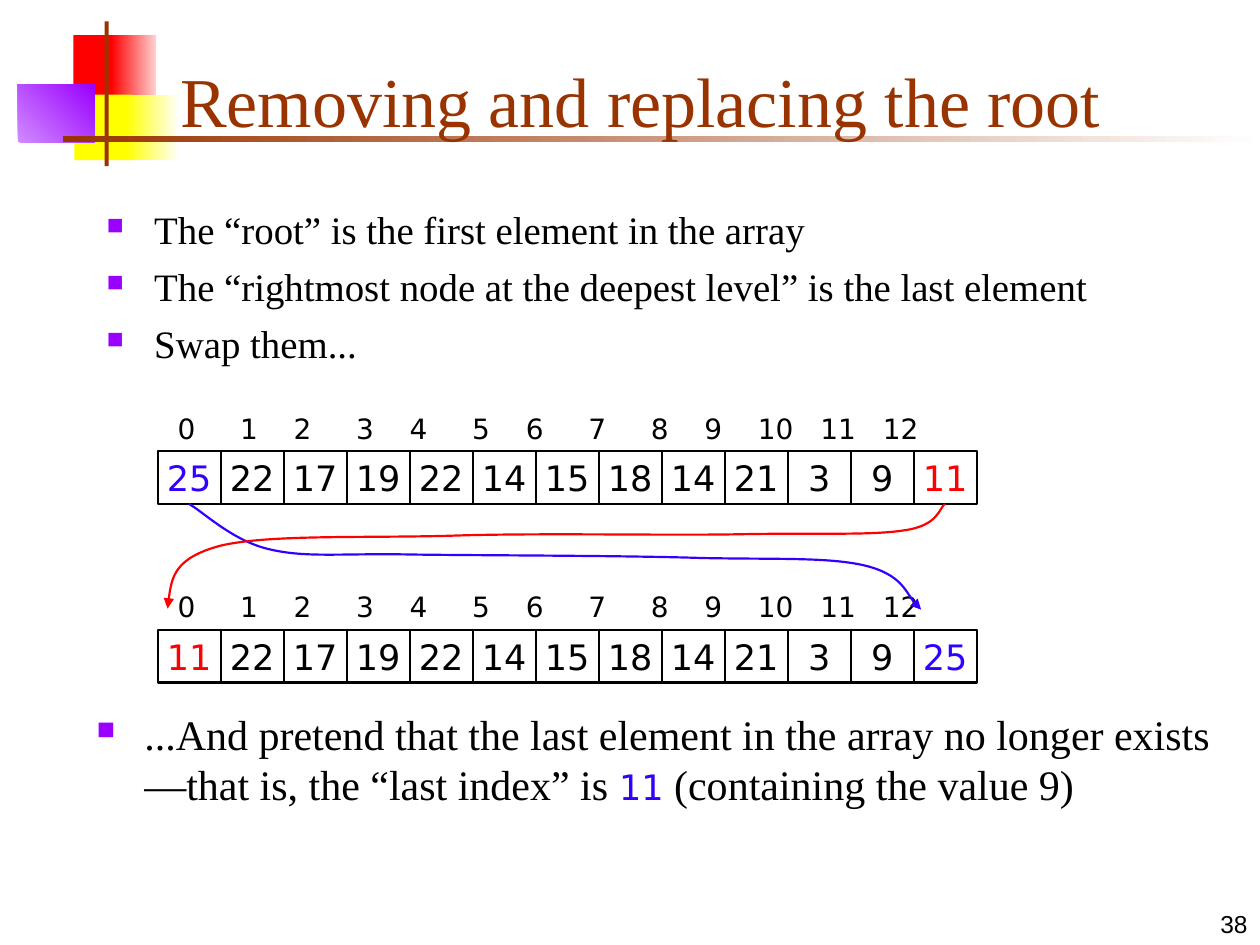
from dataclasses import dataclass
from itertools import accumulate

from lxml.etree import SubElement
from pptx import Presentation
from pptx.dml.color import RGBColor
from pptx.enum.shapes import MSO_SHAPE as Preset
from pptx.enum.text import MSO_ANCHOR as Anchor, PP_ALIGN as Align
from pptx.oxml.ns import qn
from pptx.util import Cm, Pt


@dataclass(frozen=True)
class Theme:
    ink: str = "000000"
    brown: str = "993300"
    violet: str = "9900FF"
    lilac: str = "D18BFF"
    red: str = "FF0000"
    pink: str = "FFD1D1"
    yellow: str = "FFFF00"
    cream: str = "FFFFF0"
    white: str = "FFFFFF"
    blue: str = "3300FF"
    serif: str = "Times New Roman"
    sans: str = "DejaVu Sans"
    plain: str = "Arial"
    title: float = 40
    conclusion: float = 24
    points: float = 22.2
    value: float = 20
    index: float = 16
    number: float = 14
    line: float = 1.25


THEME = Theme()
CELL_WIDTH, CELL_HEIGHT = 1.27, 1.06
ARRAY_LEFT = 3.18
FIRST_ARRAY_TOP, SECOND_ARRAY_TOP = 9.1, 12.7
MIDDLE = [22, 17, 19, 22, 14, 15, 18, 14, 21, 3, 9]
# Distance between the starts of neighbouring indices, in half digit widths
INDEX_STEPS = [2, 7, 6, 7, 6, 7, 6, 7, 7, 6, 6, 7, 7]
HALF_DIGIT = 0.18


def style(font, name, size, color=THEME.ink):
    font.name, font.size = name, Pt(size)
    font.color.rgb = RGBColor.from_string(color)


def add_text_box(shapes, left, top, width, height, anchor=Anchor.TOP):
    frame = shapes.add_textbox(Cm(left), Cm(top), Cm(width), Cm(height)).text_frame
    frame.word_wrap = True
    frame.vertical_anchor = anchor
    return frame


def add_bullet(paragraph):
    properties = paragraph._p.get_or_add_pPr()
    properties.set("marL", str(Cm(0.96)))
    properties.set("indent", str(-Cm(0.96)))
    color = SubElement(properties, qn("a:buClr"))
    SubElement(color, qn("a:srgbClr"), val=THEME.violet)
    SubElement(properties, qn("a:buSzPct"), val="60000")
    SubElement(properties, qn("a:buChar"), char="■")


def add_block(slide, left, top, width, height, start, end=None, angle=0):
    """Place a borderless rectangle, plain or fading from start to end."""
    block = slide.shapes.add_shape(Preset.RECTANGLE, Cm(left), Cm(top), Cm(width), Cm(height))
    block.shadow.inherit = False
    block.line.fill.background()
    if end is None:
        block.fill.solid()
        block.fill.fore_color.rgb = RGBColor.from_string(start)
        return
    block.fill.gradient()
    block.fill.gradient_angle = angle
    for stop, color in zip(block.fill.gradient_stops, (start, end)):
        stop.color.rgb = RGBColor.from_string(color)


def add_ornament(slide, left, top):
    add_block(slide, left + 1.12, top + 0.28, 0.89, 1.32, THEME.red)
    add_block(slide, left + 1.88, top + 0.28, 0.91, 1.32, THEME.red, THEME.pink)
    add_block(slide, left + 1.14, top + 1.48, 1.17, 1.32, THEME.yellow)
    add_block(slide, left + 2.18, top + 1.48, 1.02, 1.32, THEME.yellow, THEME.cream)
    add_block(slide, left, top + 1.27, 1.55, 1.17, THEME.lilac, THEME.violet, 45)
    add_block(slide, left + 1.75, top, 0.08, 2.92, THEME.brown)
    add_block(slide, left + 0.91, top + 2.31, 24.13, 0.13, THEME.brown, THEME.white)


def add_title(slide, left, top, width, height):
    title = add_text_box(slide.shapes, left, top, width, height, Anchor.BOTTOM).paragraphs[0]
    title.text = "Removing and replacing the root"
    style(title.font, THEME.serif, THEME.title, THEME.brown)


def add_page_number(slide, left, top, width, height):
    number = add_text_box(slide.shapes, left, top, width, height, Anchor.BOTTOM).paragraphs[0]
    number.text = "38"
    number.alignment = Align.RIGHT
    style(number.font, THEME.plain, THEME.number)


def add_points(slide, left, top, width, height):
    frame = add_text_box(slide.shapes, left, top, width, height)
    points = (
        "The “root” is the first element in the array",
        "The “rightmost node at the deepest level” is the last element",
        "Swap them...",
    )
    for order, point in enumerate(points):
        paragraph = frame.add_paragraph() if order else frame.paragraphs[0]
        paragraph.text = point
        add_bullet(paragraph)
        if order:
            paragraph.space_before = Pt(6)
        style(paragraph.font, THEME.serif, THEME.points)


def add_conclusion(slide, left, top, width, height):
    paragraph = add_text_box(slide.shapes, left, top, width, height).paragraphs[0]
    add_bullet(paragraph)
    serif = (THEME.serif, THEME.conclusion)
    for words, look in (
        ("...And pretend that the last element in the array no longer exists"
         "—that is, the “last index” is ", serif),
        ("11", (THEME.sans, THEME.value, THEME.blue)),
        (" (containing the value 9)", serif),
    ):
        run = paragraph.add_run()
        run.text = words
        style(run.font, *look)


def add_indices(shapes, left, top, width, height):
    indices = add_text_box(shapes, left, top, width, height).paragraphs[0]
    indices.text = "".join(f"\t{index}" for index in range(len(INDEX_STEPS)))
    tabs = SubElement(indices._p.get_or_add_pPr(), qn("a:tabLst"))
    for position in accumulate(INDEX_STEPS):
        SubElement(tabs, qn("a:tab"), pos=str(Cm(position * HALF_DIGIT)), algn="l")
    style(indices.font, THEME.sans, THEME.index)


def add_array(slide, left, top, values, end_colors):
    """Draw a row of cells with indices above; the two end values are coloured."""
    shapes = slide.shapes.add_group_shape().shapes
    colors = [end_colors[0], *[THEME.ink] * (len(values) - 2), end_colors[1]]
    for column, (value, color) in enumerate(zip(values, colors)):
        cell = shapes.add_shape(Preset.RECTANGLE, Cm(left + column * CELL_WIDTH), Cm(top),
                                Cm(CELL_WIDTH), Cm(CELL_HEIGHT))
        cell.shadow.inherit = False
        cell.fill.background()
        cell.line.color.rgb = RGBColor.from_string(THEME.ink)
        cell.line.width = Pt(THEME.line)
        frame = cell.text_frame
        frame.word_wrap = False
        frame.vertical_anchor = Anchor.MIDDLE
        paragraph = frame.paragraphs[0]
        paragraph.text = str(value)
        paragraph.alignment = Align.CENTER
        style(paragraph.font, THEME.sans, THEME.value, color)
    add_indices(shapes, left - 0.21, top - 0.93, 17.58, 0.93)


def add_swap_arrow(slide, left, top, points, color):
    """Draw a Bézier arrow: a start, then two handles and an end per segment."""
    start, *rest = [(Cm(left + x), Cm(top + y)) for x, y in points]
    builder = slide.shapes.build_freeform(*start)
    builder.add_line_segments(rest, close=False)
    arrow = builder.convert_to_shape()
    lines = arrow._element.xpath(".//a:lnTo")
    for first in range(0, len(lines), 3):
        curve = SubElement(lines[first].getparent(), qn("a:cubicBezTo"))
        for line in lines[first:first + 3]:
            curve.append(line[0])
            line.getparent().remove(line)
    arrow.shadow.inherit = False
    arrow.fill.background()
    arrow.line.color.rgb = RGBColor.from_string(color)
    arrow.line.width = Pt(THEME.line)
    SubElement(arrow.line._get_or_add_ln(), qn("a:tailEnd"), type="triangle")


def add_swap(slide, left, top):
    add_swap_arrow(slide, left, top, [
        (0.63, 0), (0.91, 0.15), (1.52, 0.76), (2.28, 0.92),
        (3.02, 1.09), (3.71, 0.99), (5.16, 1.02),
        (6.6, 1.04), (9.47, 1.04), (10.97, 1.09),
        (12.5, 1.12), (13.51, 1.07), (14.25, 1.24),
        (14.99, 1.42), (15.16, 1.96), (15.39, 2.13)], THEME.blue)
    add_swap_arrow(slide, left, top, [
        (15.87, 0), (15.75, 0.08), (15.75, 0.43), (15.06, 0.53),
        (14.38, 0.64), (13.26, 0.58), (11.76, 0.61),
        (10.24, 0.64), (7.67, 0.58), (5.92, 0.64),
        (4.19, 0.69), (2.24, 0.61), (1.27, 0.84),
        (0.33, 1.09), (0.25, 1.6), (0.2, 2.11)], THEME.red)


def main():
    deck = Presentation()
    deck.slide_width, deck.slide_height = Cm(25.4), Cm(19.05)
    slide = deck.slides.add_slide(deck.slide_layouts[6])
    add_ornament(slide, 0.36, 0.43)
    add_page_number(slide, 20.12, 17.78, 5.28, 1.27)
    add_title(slide, 3.38, 0.64, 21.64, 2.33)
    add_points(slide, 1.9, 4.02, 21.8, 3.81)
    add_conclusion(slide, 1.7, 14.15, 23.2, 3.2)
    add_array(slide, ARRAY_LEFT, FIRST_ARRAY_TOP, [25, *MIDDLE, 11], (THEME.blue, THEME.red))
    add_array(slide, ARRAY_LEFT, SECOND_ARRAY_TOP, [11, *MIDDLE, 25], (THEME.red, THEME.blue))
    add_swap(slide, ARRAY_LEFT, FIRST_ARRAY_TOP + CELL_HEIGHT)
    deck.save("out.pptx")


if __name__ == "__main__":
    main()
